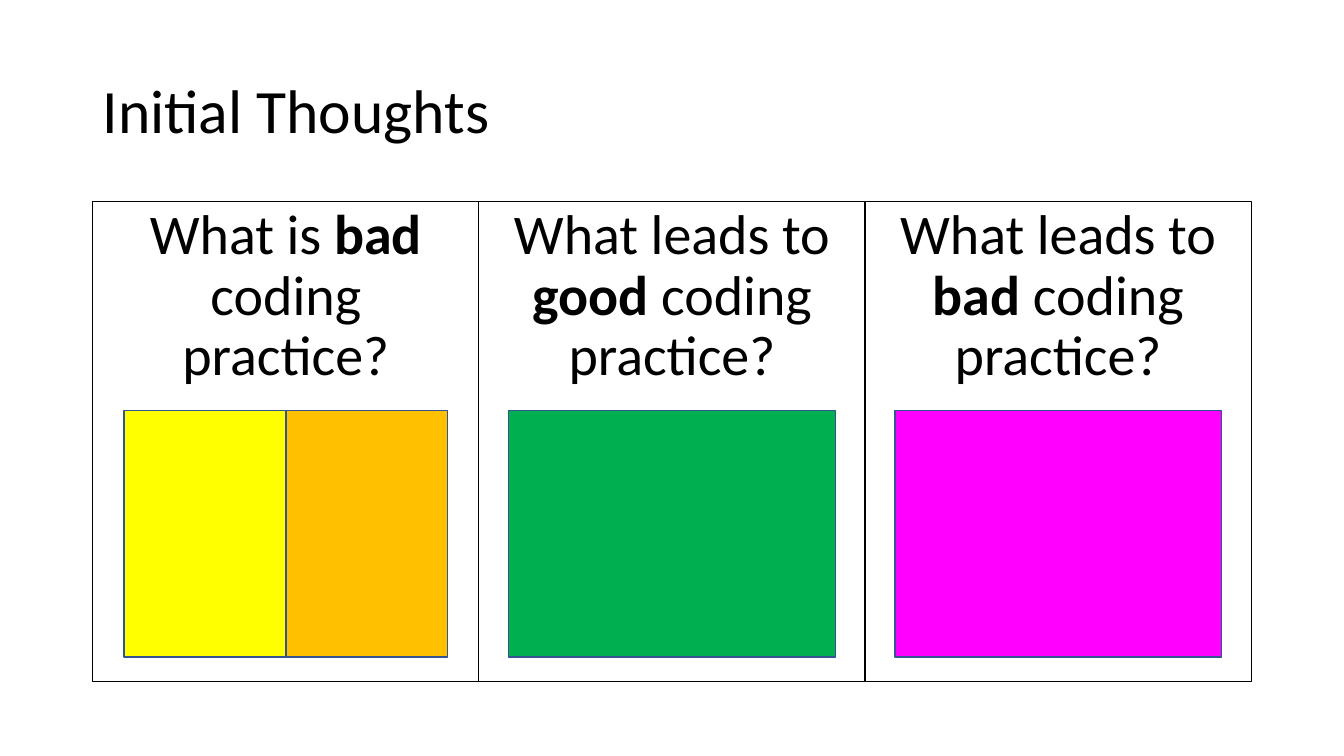
from pptx import Presentation
from pptx.dml.color import RGBColor
from pptx.enum.shapes import MSO_SHAPE
from pptx.enum.text import MSO_ANCHOR, PP_ALIGN
from pptx.util import Inches, Pt

RECT = MSO_SHAPE.RECTANGLE
TOP, MIDDLE = MSO_ANCHOR.TOP, MSO_ANCHOR.MIDDLE
LEFT, CENTER = PP_ALIGN.LEFT, PP_ALIGN.CENTER

BLACK = RGBColor(0x00, 0x00, 0x00)
BLUE = RGBColor(0x32, 0x54, 0x91)
YELLOW = RGBColor(0xFF, 0xFF, 0x00)
ORANGE = RGBColor(0xFF, 0xC0, 0x00)
GREEN = RGBColor(0x00, 0xB0, 0x50)
MAGENTA = RGBColor(0xFF, 0x00, 0xFF)

# Content: (text, bold) runs, swatch colours and total swatch width per column
TITLE = [("Initial Thoughts", False)]
COLUMNS = [
    ([("What is ", False), ("bad ", True), ("coding practice?", False)],
     [YELLOW, ORANGE], 3.21),
    ([("What leads to ", False), ("good", True), (" coding practice?", False)],
     [GREEN], 3.24),
    ([("What leads to ", False), ("bad", True), (" coding practice?", False)],
     [MAGENTA], 3.24),
]

# Grid, in inches
SLIDE_W, SLIDE_H = 13.33, 7.5
MARGIN = 0.92
COL_W = (SLIDE_W - 2 * MARGIN) / len(COLUMNS)
COL_TOP, COL_H = 2, 4.76
SWATCH_TOP, SWATCH_H = 4.07, 2.45

prs = Presentation()
prs.slide_width, prs.slide_height = Inches(SLIDE_W), Inches(SLIDE_H)
slide = prs.slides.add_slide(prs.slide_layouts[6])


def write(sp, runs, size=40, align=CENTER, anchor=TOP, before=0):
    tf = sp.text_frame
    tf.word_wrap = True
    tf.vertical_anchor = anchor
    p = tf.paragraphs[0]
    p.alignment, p.line_spacing, p.space_before = align, 0.9, Pt(before)
    for text, bold in runs:
        r = p.add_run()
        r.text = text
        r.font.name, r.font.size, r.font.bold = "Calibri", Pt(size), bold
        r.font.color.rgb = BLACK


def add_box(x, y, w, h, line, width, fill=None):
    sp = slide.shapes.add_shape(RECT, Inches(x), Inches(y), Inches(w), Inches(h))
    sp.shadow.inherit = False
    sp.line.color.rgb, sp.line.width = line, Pt(width)
    if fill is None:
        sp.fill.background()
    else:
        sp.fill.solid()
        sp.fill.fore_color.rgb = fill
    return sp


# Title
title = slide.shapes.add_textbox(Inches(MARGIN), Inches(0.4),
                                 Inches(SLIDE_W - 2 * MARGIN), Inches(1.45))
write(title, TITLE, size=44, align=LEFT, anchor=MIDDLE)

# Question columns, each with its swatches centred
for i, (question, colours, total_w) in enumerate(COLUMNS):
    x = MARGIN + i * COL_W
    column = add_box(x, COL_TOP, COL_W, COL_H, BLACK, 0.75)
    write(column, question, before=10)
    swatch_w = total_w / len(colours)
    swatch_x = x + (COL_W - total_w) / 2
    for j, colour in enumerate(colours):
        add_box(swatch_x + j * swatch_w, SWATCH_TOP, swatch_w, SWATCH_H,
                BLUE, 1, fill=colour)

prs.save("out.pptx")
